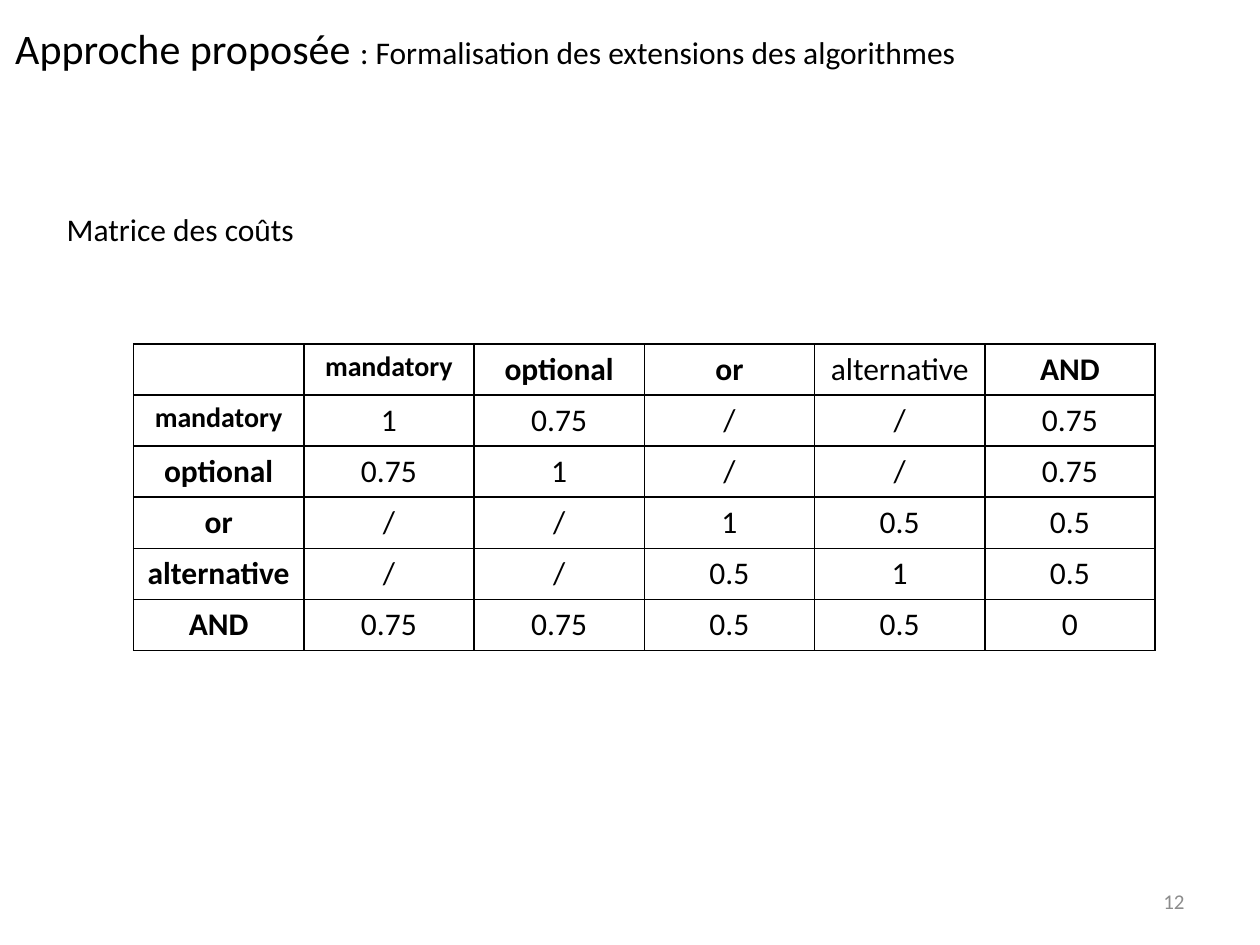
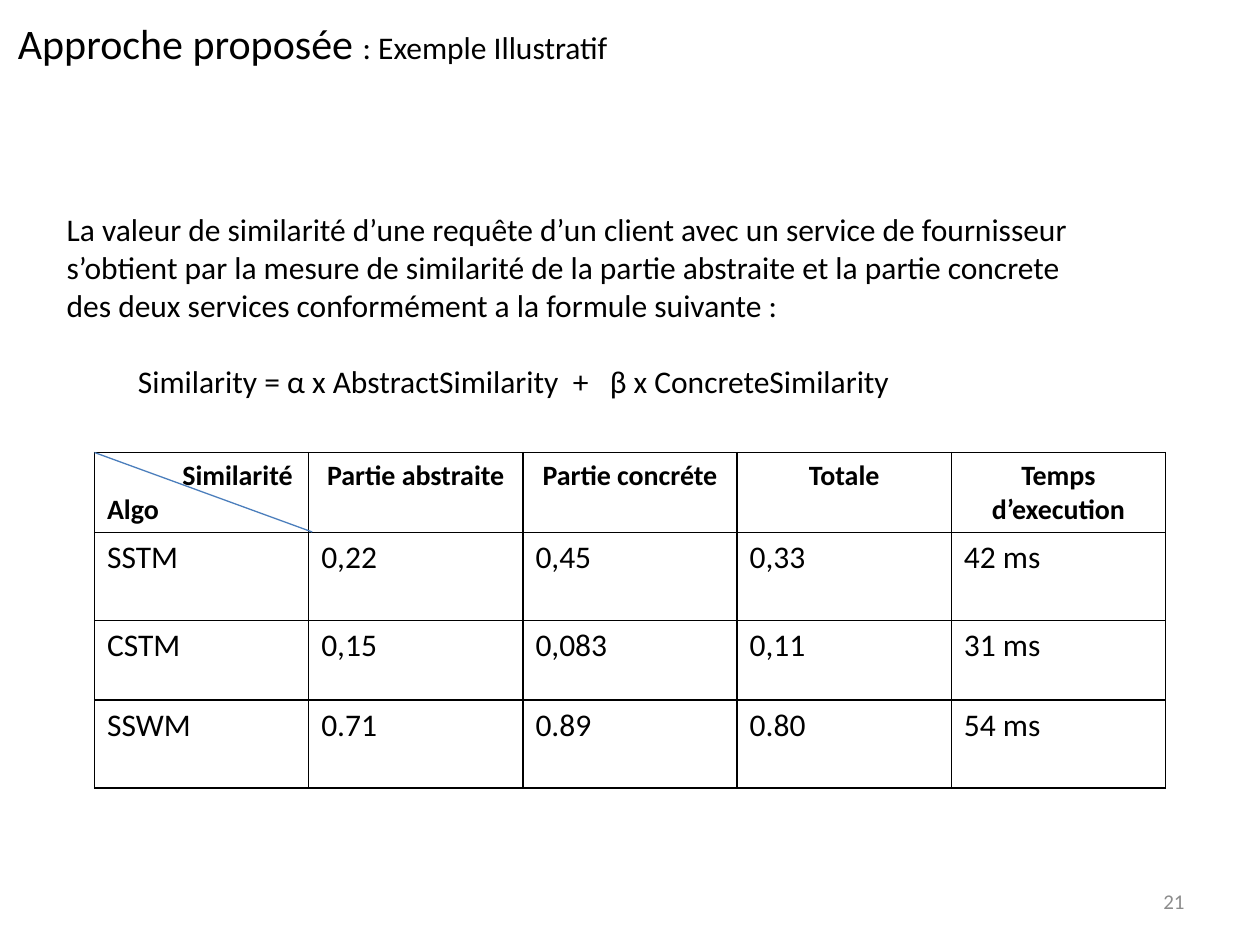
from dataclasses import dataclass
from typing import Any

from lxml.etree import SubElement
from pptx import Presentation
from pptx.dml.color import RGBColor
from pptx.enum.shapes import MSO_CONNECTOR
from pptx.enum.text import MSO_ANCHOR, MSO_AUTO_SIZE, PP_ALIGN
from pptx.oxml.ns import qn
from pptx.util import Pt

# Shared look
FONT = "Calibri"
BLACK, GREY, BLUE = "000000", "8C8C8C", "4B7EBC"
TITLE_SIZE, BODY_SIZE, SMALL_SIZE, NUMBER_SIZE = 24, 18, 16, 12
TITLE_START = "Approche proposée "
TITLE_ONLY = 5
TEXT_LEFT, TEXT_TOP = 31, 116.6


@dataclass(frozen=True)
class Frame:
    left: float
    top: float
    width: float
    height: float


@dataclass(frozen=True)
class Span:
    text: str
    size: float = BODY_SIZE
    bold: bool = False
    color: str = BLACK
    spacing: float = 0


@dataclass(frozen=True)
class Para:
    spans: tuple[Span, ...]
    align: PP_ALIGN = PP_ALIGN.LEFT
    indent: float = 0
    before: float = 0


@dataclass(frozen=True)
class Grid:
    left: float
    top: float
    column_width: float
    row_heights: tuple[float, ...]
    cells: list[list[tuple[Para, ...]]]


def rgb(color: str) -> RGBColor:
    return RGBColor.from_string(color)


def set_format(target: Any, values: dict[str, Any]) -> None:
    for name, value in values.items():
        setattr(target, name, value)


def line_of(text: str, **style: Any) -> Para:
    return Para((Span(text, **style),))


def centred(text: str, **style: Any) -> Para:
    return Para((Span(text, **style),), PP_ALIGN.CENTER)


# Text
def write(text_frame: Any, paras: tuple[Para, ...]) -> None:
    for index, item in enumerate(paras):
        para = text_frame.add_paragraph() if index else text_frame.paragraphs[0]
        set_format(para, {"alignment": item.align, "space_before": Pt(item.before)})
        if item.indent:
            para._p.get_or_add_pPr().set("marL", str(Pt(item.indent)))
        for piece in item.spans:
            span = para.add_run()
            span.text = piece.text
            set_format(span.font, {"name": FONT, "size": Pt(piece.size), "bold": piece.bold})
            span.font.color.rgb = rgb(piece.color)
            if piece.spacing:
                span.font._element.set("spc", str(round(piece.spacing * 100)))


def add_text(page: Any, frame: Frame, *paras: Para,
             anchor: MSO_ANCHOR = MSO_ANCHOR.TOP) -> None:
    box = page.shapes.add_textbox(
        Pt(frame.left), Pt(frame.top), Pt(frame.width), Pt(frame.height))
    set_format(box.text_frame, {"word_wrap": True, "vertical_anchor": anchor})
    write(box.text_frame, paras)


# Page with its title and number
def add_page(deck: Any, subtitle: str, frame: Frame, number: int) -> Any:
    page = deck.slides.add_slide(deck.slide_layouts[TITLE_ONLY])
    title = page.shapes.title
    set_format(title, {"left": Pt(frame.left), "top": Pt(frame.top),
                       "width": Pt(frame.width), "height": Pt(frame.height)})
    set_format(title.text_frame, {"word_wrap": False, "auto_size": MSO_AUTO_SIZE.NONE,
                                  "vertical_anchor": MSO_ANCHOR.TOP})
    write(title.text_frame, (Para((Span(TITLE_START, TITLE_SIZE), Span(subtitle))),))
    add_text(page, Frame(516, 500.4, 168, 28.8),
             Para((Span(str(number), NUMBER_SIZE, color=GREY),), PP_ALIGN.RIGHT),
             anchor=MSO_ANCHOR.MIDDLE)
    return page


# Table
def add_borders(cell: Any) -> None:
    properties = cell._tc.get_or_add_tcPr()
    for side in ("lnL", "lnR", "lnT", "lnB"):
        line = SubElement(properties, qn(f"a:{side}"), w=str(Pt(1)))
        fill = SubElement(line, qn("a:solidFill"))
        SubElement(fill, qn("a:srgbClr"), val=BLACK)


def add_grid(page: Any, grid: Grid) -> None:
    rows, columns = len(grid.cells), len(grid.cells[0])
    table = page.shapes.add_table(
        rows, columns, Pt(grid.left), Pt(grid.top),
        Pt(grid.column_width * columns), Pt(sum(grid.row_heights))).table
    set_format(table, {"first_row": False, "horz_banding": False})
    for column in table.columns:
        column.width = Pt(grid.column_width)
    for row, height, contents in zip(table.rows, grid.row_heights, grid.cells):
        row.height = Pt(height)
        for cell, paras in zip(row.cells, contents):
            add_borders(cell)
            cell.fill.background()
            write(cell.text_frame, paras)


def add_diagonal(page: Any, grid: Grid) -> None:
    line = page.shapes.add_connector(
        MSO_CONNECTOR.STRAIGHT, Pt(grid.left), Pt(grid.top),
        Pt(grid.left + grid.column_width + 2), Pt(grid.top + grid.row_heights[0]))
    line.line.width = Pt(0.75)
    line.line.color.rgb = rgb(BLUE)
    SubElement(line._element.spPr, qn("a:effectLst"))


# Cost matrix
def label(name: str, bold: bool = True) -> tuple[Para, ...]:
    size = SMALL_SIZE if name == "mandatory" else BODY_SIZE
    return (centred(name, size=size, bold=bold),)


def cost_page(deck: Any) -> None:
    page = add_page(deck, ": Formalisation des extensions des algorithmes",
                    Frame(1.5, 9.4, 558, 101.5), 12)
    add_text(page, Frame(TEXT_LEFT, TEXT_TOP, 160, 29), line_of("Matrice des coûts"))
    costs = {
        "mandatory": "1 0.75 / / 0.75",
        "optional": "0.75 1 / / 0.75",
        "or": "/ / 1 0.5 0.5",
        "alternative": "/ / 0.5 1 0.5",
        "AND": "0.75 0.75 0.5 0.5 0",
    }
    header = [()] + [label(name, bold=name != "alternative") for name in costs]
    body = [[label(name)] + [(centred(value),) for value in values.split()]
            for name, values in costs.items()]
    add_grid(page, Grid(76.3, 196.5, 97.3, (29.2,) * 6, [header] + body))


# Similarity formula and results
def example_page(deck: Any) -> None:
    page = add_page(deck, ": Exemple Illustratif", Frame(3, 6.5, 355, 124), 21)
    formula = (Span("Similarity = α x AbstractSimilarity"), Span(" + ", spacing=4),
               Span("β x ConcreteSimilarity"))
    add_text(
        page, Frame(TEXT_LEFT, TEXT_TOP, 680, 181),
        line_of("La valeur de similarité d’une requête d’un client avec un service de fournisseur"),
        line_of("s’obtient par la mesure de similarité de la partie abstraite et la partie concrete"),
        line_of("des deux services conformément a la formule suivante :"),
        Para(formula, indent=40.7, before=21.8))
    heading = {"size": SMALL_SIZE, "bold": True}
    corner = (Para((Span("Similarité", **heading),), indent=43), line_of("Algo", **heading))
    names = ("Partie abstraite", "Partie concréte", "Totale", "Temps d’execution")
    results = (
        ("SSTM", "0,22", "0,45", "0,33", "42 ms"),
        ("CSTM", "0,15", "0,083", "0,11", "31 ms"),
        ("SSWM", "0.71", "0.89", "0.80", "54 ms"),
    )
    header = [corner] + [(centred(name, **heading),) for name in names]
    body = [[(line_of(value),) for value in row] for row in results]
    grid = Grid(54, 258.6, 122.4, (45.4, 50.4, 45.4, 50.4), [header] + body)
    add_grid(page, grid)
    add_diagonal(page, grid)


def main() -> None:
    deck = Presentation()
    set_format(deck, {"slide_width": Pt(720), "slide_height": Pt(540)})
    cost_page(deck)
    example_page(deck)
    deck.save("out.pptx")


if __name__ == "__main__":
    main()
